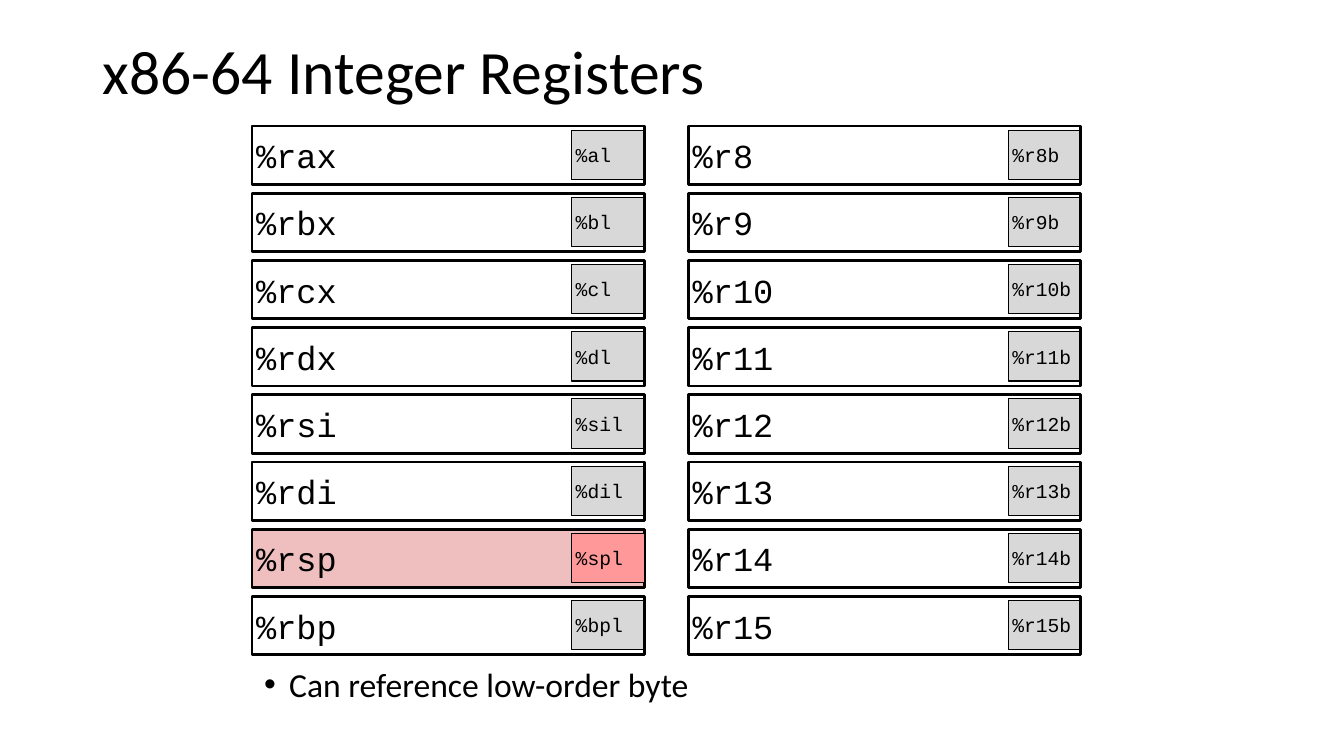
from pptx import Presentation
from pptx.dml.color import RGBColor
from pptx.enum.shapes import MSO_SHAPE
from pptx.enum.text import MSO_ANCHOR, PP_ALIGN
from pptx.oxml.ns import qn
from pptx.util import Inches, Pt
from lxml import etree

COLORS = {
    "ink": "000000",
    "byte": "D8D8D8",
    "stack": "EFBFBF",
    "stack_byte": "FF9999",
}
NAMED_REGISTERS = [
    ("%rax", "%al"), ("%rbx", "%bl"), ("%rcx", "%cl"), ("%rdx", "%dl"),
    ("%rsi", "%sil"), ("%rdi", "%dil"), ("%rsp", "%spl"), ("%rbp", "%bpl"),
]
NUMBERED_REGISTERS = [(f"%r{n}", f"%r{n}b") for n in range(8, 16)]
STACK_POINTER = "%rsp"
TOP, ROW_PITCH = 1.25, 2 / 3


def color(name):
    return RGBColor.from_string(COLORS[name])


def format_runs(p, font, size):
    for r in p.runs:
        r.font.name = font
        r.font.size = Pt(size)
        r.font.color.rgb = color("ink")


def add_title(s, text):
    title = s.shapes.title
    title.left, title.top = Inches(0.92), Inches(0.4)
    title.width, title.height = Inches(11.5), Inches(0.67)
    tf = title.text_frame
    tf.text = text
    tf.vertical_anchor = MSO_ANCHOR.MIDDLE
    p = tf.paragraphs[0]
    p.alignment = PP_ALIGN.LEFT
    p.line_spacing = 0.9
    format_runs(p, "Calibri", 44)


def add_box(s, text, x, y, w, h, fill, line_width, size):
    sp = s.shapes.add_shape(MSO_SHAPE.RECTANGLE, Inches(x), Inches(y), Inches(w), Inches(h))
    sp.shadow.inherit = False
    if fill:
        sp.fill.solid()
        sp.fill.fore_color.rgb = color(fill)
    else:
        sp.fill.background()
    sp.line.color.rgb = color("ink")
    sp.line.width = Pt(line_width)
    tf = sp.text_frame
    tf.text = text
    tf.word_wrap = True
    tf.vertical_anchor = MSO_ANCHOR.MIDDLE
    tf.margin_left = tf.margin_right = tf.margin_top = tf.margin_bottom = Inches(0.04)
    p = tf.paragraphs[0]
    p.alignment = PP_ALIGN.LEFT
    format_runs(p, "Courier New", size)


def add_register(s, name, low_byte, x, y):
    register = (name, x, y, 3.89, 0.58)
    byte = (low_byte, x + 3.17, y + 0.04, 0.72, 0.49)
    if name == STACK_POINTER:
        # A filled register lies behind its low byte
        add_box(s, *register, "stack", 2, 24)
        add_box(s, *byte, "stack_byte", 1, 14)
    else:
        # An open register frames its low byte
        add_box(s, *byte, "byte", 0.75, 14)
        add_box(s, *register, None, 2, 24)


def add_bullet(s, text, x, y, w, h):
    tf = s.shapes.add_textbox(Inches(x), Inches(y), Inches(w), Inches(h)).text_frame
    tf.word_wrap = True
    tf.text = text
    p = tf.paragraphs[0]
    p.level = 1
    p.line_spacing = 0.9
    p.space_before = Pt(5)
    format_runs(p, "Calibri", 24)
    pPr = p._p.get_or_add_pPr()
    pPr.set("marL", str(Inches(0.75)))
    pPr.set("indent", str(Inches(-0.25)))
    etree.SubElement(pPr, qn("a:buFont")).set("typeface", "Arial")
    etree.SubElement(pPr, qn("a:buChar")).set("char", "•")


def main():
    prs = Presentation()
    prs.slide_width, prs.slide_height = Inches(13.33), Inches(7.5)
    s = prs.slides.add_slide(prs.slide_layouts[5])
    add_title(s, "x86-64 Integer Registers")

    # Two columns of registers
    for x, registers in ((2.5, NAMED_REGISTERS), (6.83, NUMBERED_REGISTERS)):
        for row, (name, low_byte) in enumerate(registers):
            add_register(s, name, low_byte, x, TOP + row * ROW_PITCH)

    # Note below the columns
    add_bullet(s, "Can reference low-order byte", 2.02, 6.58, 8.02, 0.92)
    prs.save("out.pptx")


main()
